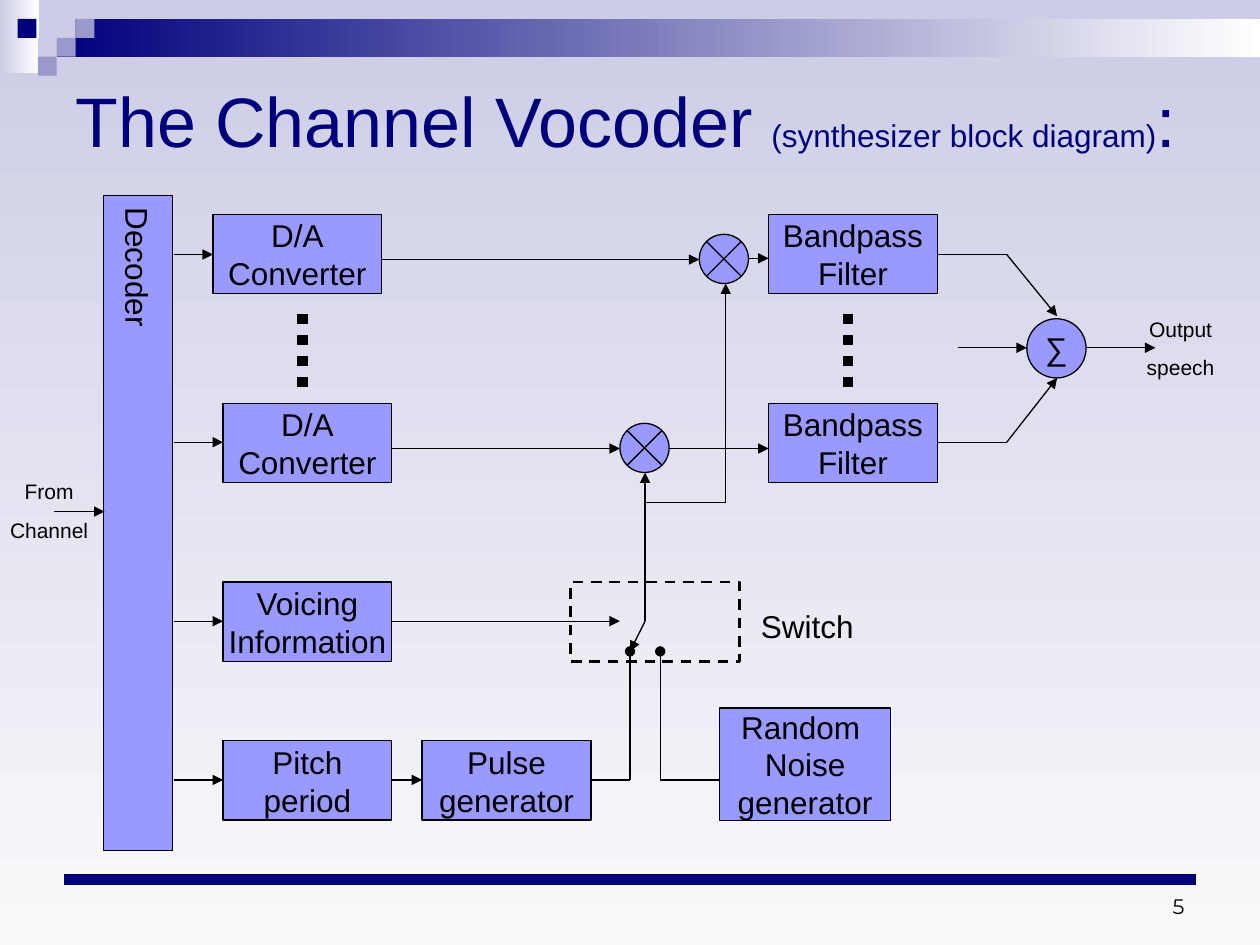
from typing import NamedTuple, Optional

import pptx
import pptx.dml.color
import pptx.enum.dml
import pptx.enum.shapes
import pptx.enum.text
import pptx.oxml
import pptx.oxml.ns
import pptx.util

COLORS = {"navy": "00007D", "lavender": "CCCCE6", "mist": "F9F9FB", "white": "FFFFFF",
          "slate": "9999CC", "block": "9999FF", "black": "000000"}
SHAPES = pptx.enum.shapes.MSO_SHAPE
ALIGN = pptx.enum.text.PP_ALIGN
ANCHOR = pptx.enum.text.MSO_ANCHOR
DASH = pptx.enum.dml.MSO_LINE

# Positions below are in inches; length() turns them into Cm.
ROWS = (2.02, 3.51, 4.93, 6.19)  # heights of the four decoder outputs
BLOCK_WIDTH, BLOCK_HEIGHT = 1.34, 0.63
TILE = 0.15


class Block(NamedTuple):
    text: str
    left: float
    top: float
    width: float = BLOCK_WIDTH
    height: float = BLOCK_HEIGHT
    kind: int = SHAPES.RECTANGLE


class Wire(NamedTuple):
    x1: float
    y1: float
    x2: float
    y2: float
    tip: Optional[str] = "triangle"


class Label(NamedTuple):
    text: str
    left: float
    top: float
    width: float
    height: float
    size: float
    align: int
    space_before: float = 0
    font: str = "Arial"
    anchor: int = ANCHOR.TOP


BLOCKS = [
    Block("D/A\nConverter", 1.69, 1.7),
    Block("D/A\nConverter", 1.77, 3.2),
    Block("Voicing\nInformation", 1.77, 4.62),
    Block("Pitch\nperiod", 1.77, 5.88),
    Block("Pulse\ngenerator", 3.35, 5.88),
    Block("Random \nNoise\ngenerator", 5.71, 5.62, 1.36, 0.89),
    Block("Bandpass\nFilter", 6.1, 1.7),
    Block("Bandpass\nFilter", 6.1, 3.2),
    Block("", 5.55, 1.86, 0.39, 0.39, SHAPES.FLOWCHART_SUMMING_JUNCTION),
    Block("", 4.92, 3.36, 0.39, 0.39, SHAPES.FLOWCHART_SUMMING_JUNCTION),
    Block("∑", 8.15, 2.53, 0.47, 0.47, SHAPES.OVAL),
]

WIRES = [
    # channel into the decoder, decoder into its four rows
    Wire(0.43, 4.06, 0.83, 4.06),
    *(Wire(1.38, y, x, y) for x, y in zip((1.69, 1.77, 1.77, 1.77), ROWS)),
    # converters through the multipliers to the filters
    Wire(3.03, 2.06, 5.55, 2.06),
    Wire(5.94, 2.05, 6.1, 2.05),
    Wire(3.11, 3.56, 4.92, 3.56),
    Wire(5.31, 3.56, 6.1, 3.56),
    # excitation branch to both multipliers
    Wire(5.12, 4.93, 5.12, 3.75),
    Wire(5.13, 3.99, 5.76, 3.99, None),
    Wire(5.76, 3.99, 5.76, 2.25),
    # switch and its two sources
    Wire(3.11, ROWS[2], 4.92, ROWS[2]),
    Wire(5.12, 4.93, 5, 5.17),
    Wire(3.11, ROWS[3], 3.35, ROWS[3]),
    Wire(4.69, ROWS[3], 5, ROWS[3], None),
    Wire(5, ROWS[3], 5, 5.17, "oval"),
    Wire(5.24, ROWS[3], 5.71, ROWS[3], None),
    Wire(5.24, ROWS[3], 5.24, 5.17, "oval"),
    # filters into the sum, and the output
    Wire(7.44, ROWS[0], 7.99, ROWS[0], None),
    Wire(7.99, ROWS[0], 8.39, 2.51),
    Wire(7.44, ROWS[1], 7.99, ROWS[1], None),
    Wire(7.99, ROWS[1], 8.39, 3),
    Wire(7.6, 2.76, 8.15, 2.76),
    Wire(8.62, 2.76, 9.17, 2.76),
]

LABELS = [
    Label("Switch", 5.94, 4.77, 0.95, 0.4, 18, ALIGN.LEFT, 11.2),
    Label("Output\nspeech", 8.86, 2.46, 1.02, 0.61, 12, ALIGN.CENTER, 7.5),
    Label("From\nChannel", -0.12, 3.75, 1.02, 0.61, 12, ALIGN.CENTER, 7.5),
    Label("5", 7.17, 7.14, 2.33, 0.2, 12, ALIGN.RIGHT, 0, "Montserrat", ANCHOR.BOTTOM),
]

# column, row and colour of the header tiles
TILES = [(3, 1, "lavender"), (4, 0, "lavender"), (4, 1, "slate"), (2, 2, "lavender"),
         (0.93, 1, "navy"), (3, 2, "slate"), (2, 3, "slate")]


def length(inches: float) -> pptx.util.Length:
    return pptx.util.Cm(inches * 2.54)


def rgb(color: str) -> pptx.dml.color.RGBColor:
    return pptx.dml.color.RGBColor.from_string(COLORS[color])


def write_text(frame, text: str, *, size: float = 18, color: str = "black", font: str = "Arial",
               align: int = ALIGN.CENTER, space_before: float = 0) -> None:
    """Continue the last paragraph; every further line starts a new one."""
    for index, line in enumerate(text.split("\n")):
        paragraph = frame.add_paragraph() if index else frame.paragraphs[-1]
        paragraph.alignment = align
        paragraph.space_before = pptx.util.Pt(space_before)
        run = paragraph.add_run()
        run.text = line
        run.font.size = pptx.util.Pt(size)
        run.font.name = font
        run.font.color.rgb = rgb(color)


def fill_gradient(fill, start: str, end: str, angle: float) -> None:
    fill.gradient()
    fill.gradient_angle = angle
    for stop, color, position in zip(fill.gradient_stops, (start, end), (0, 1)):
        stop.color.rgb = rgb(color)
        stop.position = position


def add_shape(slide, left: float, top: float, width: float, height: float,
              kind: int = SHAPES.RECTANGLE, fill: Optional[str] = None):
    """Add a shape without outline or shadow."""
    shape = slide.shapes.add_shape(kind, *map(length, (left, top, width, height)))
    shape.shadow.inherit = False
    shape.line.fill.background()
    if fill:
        shape.fill.solid()
        shape.fill.fore_color.rgb = rgb(fill)
    else:
        shape.fill.background()
    return shape


def format_line(line, color: str, width: float, dash=None) -> None:
    line.color.rgb = rgb(color)
    line.width = pptx.util.Pt(width)
    if dash is not None:
        line.dash_style = dash


def add_block(slide, block: Block):
    shape = add_shape(slide, block.left, block.top, block.width, block.height, block.kind, "block")
    format_line(shape.line, "black", 0.75)
    frame = shape.text_frame
    frame.word_wrap = False
    frame.vertical_anchor = ANCHOR.MIDDLE
    if block.text:
        write_text(frame, block.text)
    return shape


def add_wire(slide, wire: Wire, color: str = "black", width: float = 0.75, dash=None) -> None:
    connector = slide.shapes.add_connector(
        pptx.enum.shapes.MSO_CONNECTOR.STRAIGHT, *map(length, wire[:4]))
    format_line(connector.line, color, width, dash)
    properties = connector.element.spPr
    if wire.tip:
        outline = properties.find(pptx.oxml.ns.qn("a:ln"))
        tail = pptx.oxml.parse_xml(f'<a:tailEnd {pptx.oxml.ns.nsdecls("a")} type="{wire.tip}"/>')
        outline.append(tail)
    properties.append(pptx.oxml.parse_xml(f'<a:effectLst {pptx.oxml.ns.nsdecls("a")}/>'))


def add_label(slide, label: Label) -> None:
    box = slide.shapes.add_textbox(*map(length, label[1:5]))
    box.text_frame.word_wrap = True
    box.text_frame.vertical_anchor = label.anchor
    write_text(box.text_frame, label.text, size=label.size, font=label.font,
               align=label.align, space_before=label.space_before)


def add_theme(slide) -> None:
    fill_gradient(slide.background.fill, "lavender", "mist", 270)
    fill_gradient(add_shape(slide, 0, 0, 0.31, 0.58).fill, "lavender", "white", 0)
    fill_gradient(add_shape(slide, 0.45, 0.15, 9.55, 0.3).fill, "navy", "white", 0)
    for column, row, color in TILES:
        add_shape(slide, column * TILE, row * TILE, TILE, TILE, fill=color)
    add_wire(slide, Wire(0.51, 6.98, 9.49, 6.98, None), "navy", 6)


def add_title(slide) -> None:
    title = slide.shapes.title
    title.left, title.top, title.width, title.height = map(length, (0.5, 0.5, 9, 0.89))
    frame = title.text_frame
    frame.auto_size = pptx.enum.text.MSO_AUTO_SIZE.NONE
    frame.vertical_anchor = ANCHOR.MIDDLE
    for text, size in (("The Channel Vocoder ", 40), ("(synthesizer block diagram)", 18), (":", 40)):
        write_text(frame, text, size=size, color="navy", align=ALIGN.LEFT)


def main() -> None:
    presentation = pptx.Presentation()
    presentation.slide_width, presentation.slide_height = length(10), length(7.5)
    slide = presentation.slides.add_slide(presentation.slide_layouts[5])
    add_theme(slide)
    add_title(slide)
    decoder = add_block(slide, Block("Decoder", 0.82, 1.55, 0.55, 5.2))
    decoder.element.txBody.bodyPr.set("vert", "eaVert")
    for block in BLOCKS:
        add_block(slide, block)
    for x in (2.4, 6.73):
        add_wire(slide, Wire(x, 2.49, x, 3.12, None), width=6, dash=DASH.ROUND_DOT)
    switch = add_shape(slide, 4.53, 4.62, BLOCK_WIDTH, BLOCK_HEIGHT)
    format_line(switch.line, "black", 1.5, DASH.DASH)
    for wire in WIRES:
        add_wire(slide, wire)
    for label in LABELS:
        add_label(slide, label)
    presentation.save("out.pptx")


if __name__ == "__main__":
    main()
